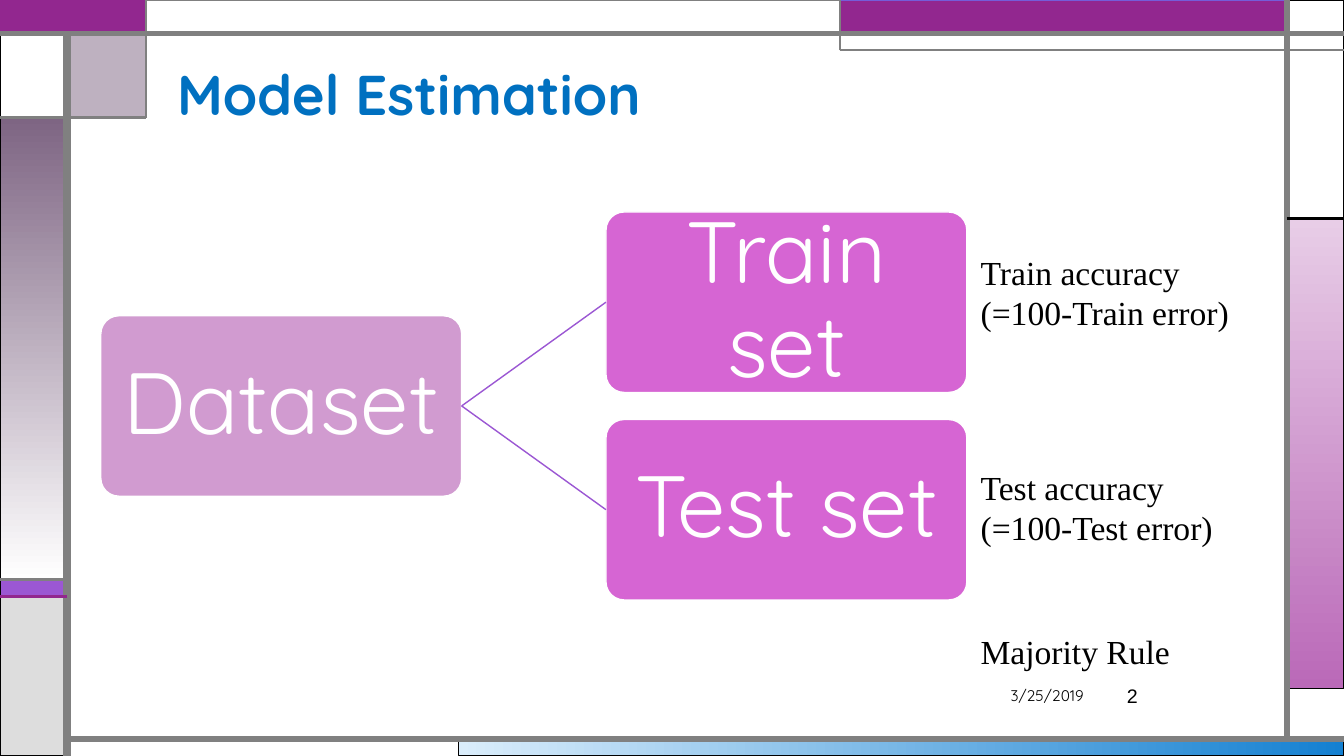
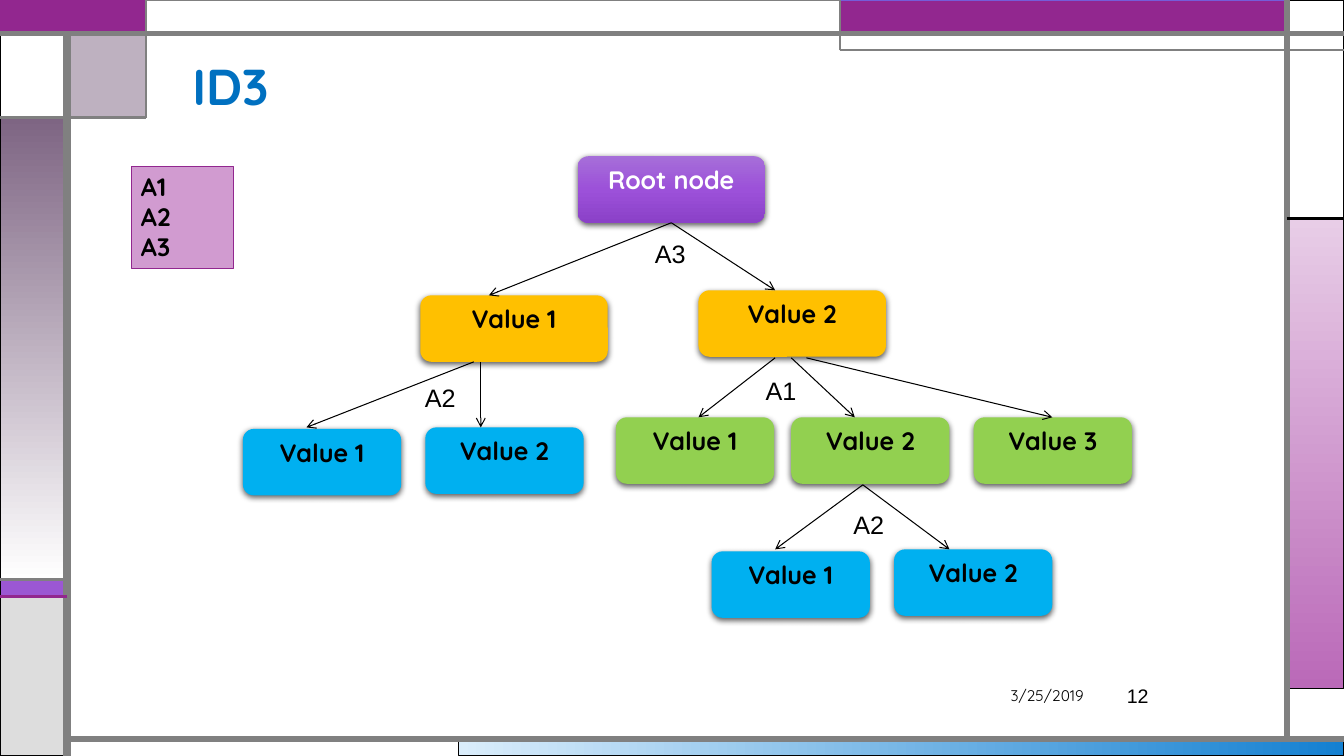
from copy import deepcopy

from lxml import etree
from pptx import Presentation
from pptx import util as u
from pptx.dml.color import RGBColor
from pptx.enum import shapes, text
from pptx.oxml import ns

COLUMNS, ROWS = 80, 45
CELL = u.Inches(7.5 / ROWS)
BLACK, WHITE, GREY = "000000", "FFFFFF", "808080"
PLUM, VIOLET, MAUVE, PINK = "92278F", "9B57D3", "7E6583", "D19BD0"
ORCHID, TITLE_BLUE = "D665D3", "0070C0"
AMBER, GREEN, SKY = "FFC000", "92D050", "00B0F0"
LEFT, CENTER, RIGHT = text.PP_ALIGN.LEFT, text.PP_ALIGN.CENTER, text.PP_ALIGN.RIGHT
TOP, MIDDLE, BOTTOM = text.MSO_ANCHOR.TOP, text.MSO_ANCHOR.MIDDLE, text.MSO_ANCHOR.BOTTOM
RECTANGLE = shapes.MSO_SHAPE.RECTANGLE
ROUNDED = shapes.MSO_SHAPE.ROUNDED_RECTANGLE
color = RGBColor.from_string


def add_box(slide, box, lines=(), fill=(), outline=None, width=0.75, preset=RECTANGLE,
            angle=270, size=18, font="Quicksand", ink=BLACK, bold=False,
            align=LEFT, anchor=TOP, spacing=1.0):
    place = [int(value * CELL) for value in box]
    if fill:
        shape = slide.shapes.add_shape(preset, *place)
        shape.shadow.inherit = False
        if len(fill) == 1:
            shape.fill.solid()
            shape.fill.fore_color.rgb = color(fill[0])
        else:
            shape.fill.gradient()
            shape.fill.gradient_angle = angle
            stop_list = shape.element.spPr.find(".//" + ns.qn("a:gsLst"))
            while len(stop_list) < len(fill):
                stop_list.append(deepcopy(stop_list[0]))
            for index, stop in enumerate(shape.fill.gradient_stops):
                stop.position = index / (len(fill) - 1)
                stop.color.rgb = color(fill[index])
        if outline:
            shape.line.color.rgb = color(outline)
            shape.line.width = u.Pt(width)
        else:
            shape.line.fill.background()
    else:
        shape = slide.shapes.add_textbox(*place)
    frame = shape.text_frame
    frame.word_wrap = True
    frame.vertical_anchor = anchor
    for index, line in enumerate(lines):
        paragraph = frame.add_paragraph() if index else frame.paragraphs[0]
        paragraph.alignment = align
        paragraph.line_spacing = spacing
        run = paragraph.add_run()
        run.text = line
        run.font.name = font
        run.font.size = u.Pt(size)
        run.font.bold = bold
        run.font.color.rgb = color(ink)
    return shape


def add_line(slide, start, end, ink=BLACK, width=0.75, arrow=False):
    points = [int(value * CELL) for value in (*start, *end)]
    line = slide.shapes.add_connector(shapes.MSO_CONNECTOR.STRAIGHT, *points)
    line.line.color.rgb = color(ink)
    line.line.width = u.Pt(width)
    properties = line.element.spPr
    if arrow:
        etree.SubElement(properties.find(ns.qn("a:ln")), ns.qn("a:tailEnd"), type="arrow")
    etree.SubElement(properties, ns.qn("a:effectLst"))
    return line


presentation = Presentation()
presentation.slide_width = COLUMNS * CELL
presentation.slide_height = ROWS * CELL
layout = presentation.slide_layouts[6]
for placeholder in list(layout.placeholders):
    layout.shapes.element.remove(placeholder.element)
estimation = presentation.slides.add_slide(layout)

RAIL, TAB, BAND, EDGE = 4, 8.67, 50, 76.6
add_box(estimation, (27.3, 44, COLUMNS - 27.3, 1), fill=("DAEDFB", "1480D1"),
        outline=BLACK, angle=0)
for box, fill, outline, width in (
    ((EDGE, 13, COLUMNS - EDGE, 28), ("E8CDE7", "BA69B8"), BLACK, 0.75),
    ((0, 34.5, RAIL, 1), (VIOLET,), BLACK, 0.75),
    ((0, 35.5, RAIL, 9.5), ("DDDDDD",), BLACK, 0.75),
    ((EDGE, 0, COLUMNS - EDGE, 13), (WHITE,), BLACK, 0.75),
    ((BAND, 0, EDGE - BAND, 2), (PLUM,), "755DD9", 0.75),
    ((RAIL, 2, TAB - RAIL, 5), (MAUVE,), BLACK, 0.75),
    ((0, 7, RAIL, 27.5), (MAUVE, WHITE), BLACK, 0.75),
    ((0, 2, RAIL, 5), (WHITE,), BLACK, 0.75),
    ((0, 0, TAB, 2), (PLUM,), PLUM, 1.5),
    ((TAB, 0, BAND - TAB, 2), (WHITE,), GREY, 0.75),
):
    panel = add_box(estimation, box, fill=fill, outline=outline, width=width)
    if box[0] == RAIL:
        tint = panel.element.spPr.find(ns.qn("a:solidFill"))[0]
        etree.SubElement(tint, ns.qn("a:alpha"), val="50000")

for start, end, ink, width in (
    ((RAIL, ROWS), (RAIL, 2), GREY, 6),
    ((RAIL, 44), (COLUMNS, 44), GREY, 4.5),
    ((EDGE, 44), (EDGE, 0), GREY, 4.5),
    ((0, 2), (COLUMNS, 2), GREY, 3),
    ((COLUMNS, 3), (BAND, 3), GREY, 1.5),
    ((BAND, 3), (BAND, 0), GREY, 1.5),
    ((EDGE, 13), (COLUMNS, 13), BLACK, 2.25),
    ((TAB, 0), (TAB, 7), GREY, 1.5),
    ((TAB, 7), (0, 7), GREY, 2.25),
    ((RAIL, 34.5), (0, 34.5), GREY, 2.25),
    ((RAIL, 35.5), (0, 35.5), PLUM, 2.25),
):
    add_line(estimation, start, end, ink, width)

for shape in list(estimation.shapes):
    layout.shapes.element.append(shape.element)

tree = presentation.slides.add_slide(layout)
for slide, title, box, size, number in (
    (estimation, "Model Estimation", (9.96, 0.42, 63, 7.5), 40, "2"),
    (tree, "ID3", (10.86, 3.24, 63, 4), 36, "12"),
):
    add_box(slide, box, [title], size=size, ink=TITLE_BLUE, bold=True,
            anchor=BOTTOM, spacing=0.9)
    add_box(slide, (56.46, 40.5, 8.64, 1.8), ["3/25/2019"], size=11,
            align=RIGHT, anchor=MIDDLE)
    add_box(slide, (66.48, 40.5, 6.48, 1.8), [number], size=14, font="Arial",
            anchor=MIDDLE)

SET_TOP, SET_PITCH = 12.62, 12.35
sets = []
for label, column, step, fill in (
    ("Dataset", 6, 0.5, PINK),
    ("Train set", 36.07, 0, ORCHID),
    ("Test set", 36.07, 1, ORCHID),
):
    shape = add_box(estimation, (column, SET_TOP + step * SET_PITCH, 21.48, 10.74), [label],
                    fill=(fill,), outline=WHITE, width=1, preset=ROUNDED, size=62,
                    ink=WHITE, align=CENTER, anchor=MIDDLE, spacing=0.9)
    shape.adjustments[0] = 0.1
    frame = shape.text_frame
    frame.margin_left = frame.margin_right = u.Inches(0.04)
    frame.margin_top = frame.margin_bottom = u.Inches(0.04)
    sets.append(shape)
dataset = sets[0]
for subset in sets[1:]:
    branch = add_line(estimation, (27.48, 24.17), (36.07, 24.17), VIOLET, 1)
    branch.begin_connect(dataset, 3)
    branch.end_connect(subset, 1)

for row, height, label in (
    (14.7, 5.46, "Train accuracy (=100-Train error)"),
    (27.5, 5.46, "Test accuracy (=100-Test error)"),
    (37.26, 3, "Majority Rule"),
):
    add_box(estimation, (57.78, row, 17.46, height), [label], size=24,
            font="Times New Roman")

add_box(tree, (7.8, 9.9, 6.12, 6.06), ["A1", "A2", "A3"], fill=(PINK,),
        outline=PLUM, width=0.5, bold=True)

NODE_HEIGHT, WIDE, NARROW = 3.96, 11.16, 9.42
nodes = []
for label, column, row, width, fill, ink in (
    ("Root node", 34.38, 9.3, WIDE, ("A66ED9", "9C51D9", "8B41C8"), WHITE),
    ("Value 1", 25.02, 17.58, WIDE, (AMBER,), BLACK),
    ("Value 2", 41.58, 17.28, WIDE, (AMBER,), BLACK),
    ("Value 1", 36.66, 24.84, NARROW, (GREEN,), BLACK),
    ("Value 2", 47.1, 24.84, NARROW, (GREEN,), BLACK),
    ("Value 3", 57.96, 24.84, NARROW, (GREEN,), BLACK),
    ("Value 1", 42.36, 32.82, NARROW, (SKY,), BLACK),
    ("Value 2", 53.22, 32.7, NARROW, (SKY,), BLACK),
    ("Value 1", 14.46, 25.53, NARROW, (SKY,), BLACK),
    ("Value 2", 25.32, 25.44, NARROW, (SKY,), BLACK),
):
    node = add_box(tree, (column, row, width, NODE_HEIGHT), [label], fill=fill,
                   preset=ROUNDED, ink=ink, bold=True, align=CENTER)
    effects = node.element.spPr.find(ns.qn("a:effectLst"))
    shadow = etree.SubElement(effects, ns.qn("a:outerShdw"), blurRad=str(u.Pt(4.5)),
                              dist=str(u.Pt(1.5)), dir="5400000", rotWithShape="0")
    shade = etree.SubElement(shadow, ns.qn("a:srgbClr"), val=BLACK)
    etree.SubElement(shade, ns.qn("a:alpha"), val="63000")
    nodes.append(node)

ROOT_EXIT = (39.96, 13.26)
for start, end in (
    (ROOT_EXIT, (29.1, 17.58)),
    (ROOT_EXIT, (46.14, 17.28)),
    ((46.14, 21.3), (41.58, 24.84)),
    ((47.1, 21.3), (50.88, 24.84)),
    ((48, 21.3), (62.64, 24.84)),
    ((51.36, 28.86), (46.14, 32.7)),
    ((51.36, 28.86), (56.52, 32.7)),
    ((28.2, 21.54), (18.24, 25.44)),
    ((28.62, 21.54), (28.62, 25.44)),
):
    arrow = add_line(tree, start, end, arrow=True)
    if start == ROOT_EXIT:
        arrow.begin_connect(nodes[0], 2)

for label, column, row in (
    ("A3", 37.62, 13.92),
    ("A1", 44.22, 22.02),
    ("A2", 49.44, 30),
    ("A2", 23.94, 22.44),
):
    add_box(tree, (column, row, 3.78, 2.4), [label], font="Arial", align=RIGHT)

presentation.save("out.pptx")
